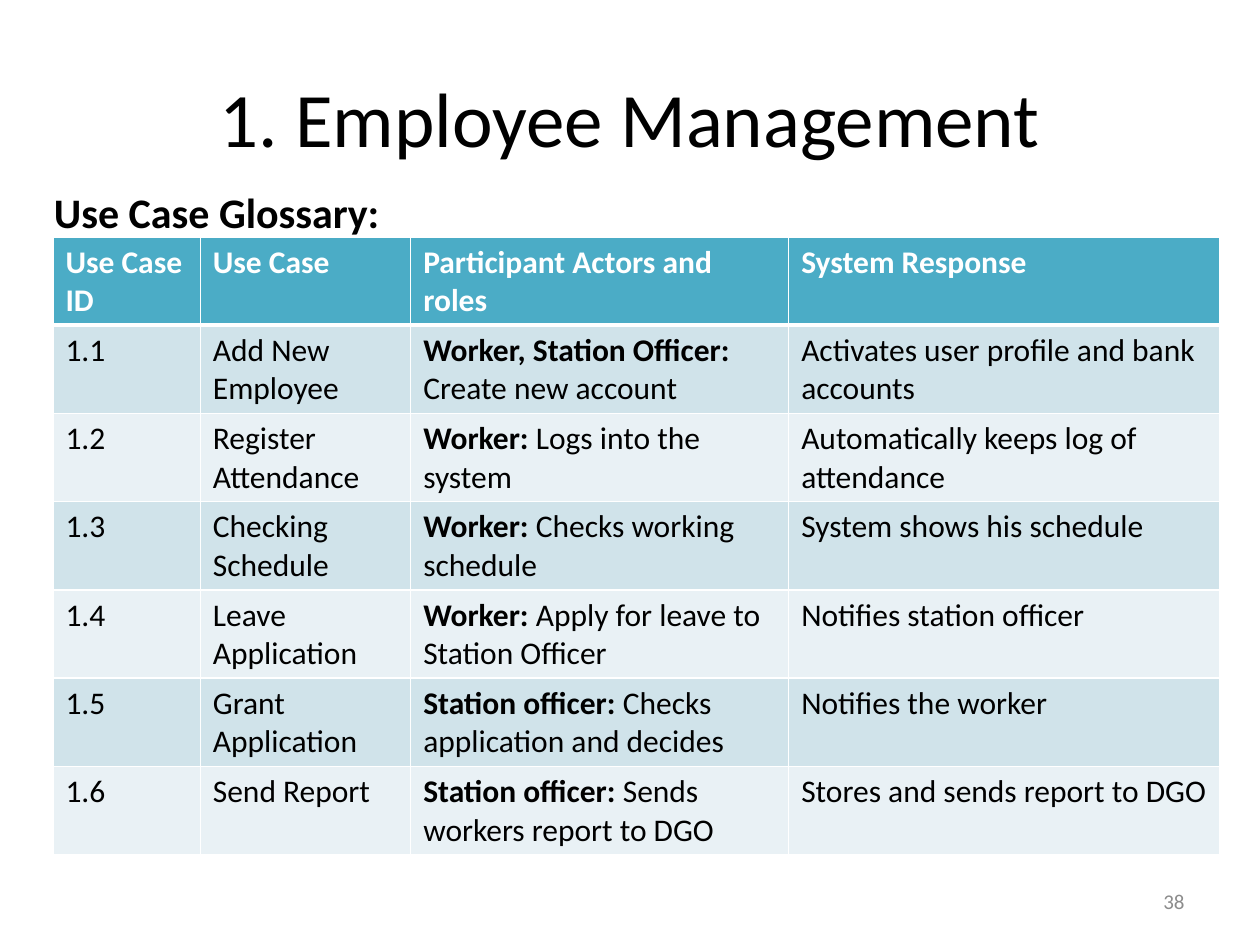
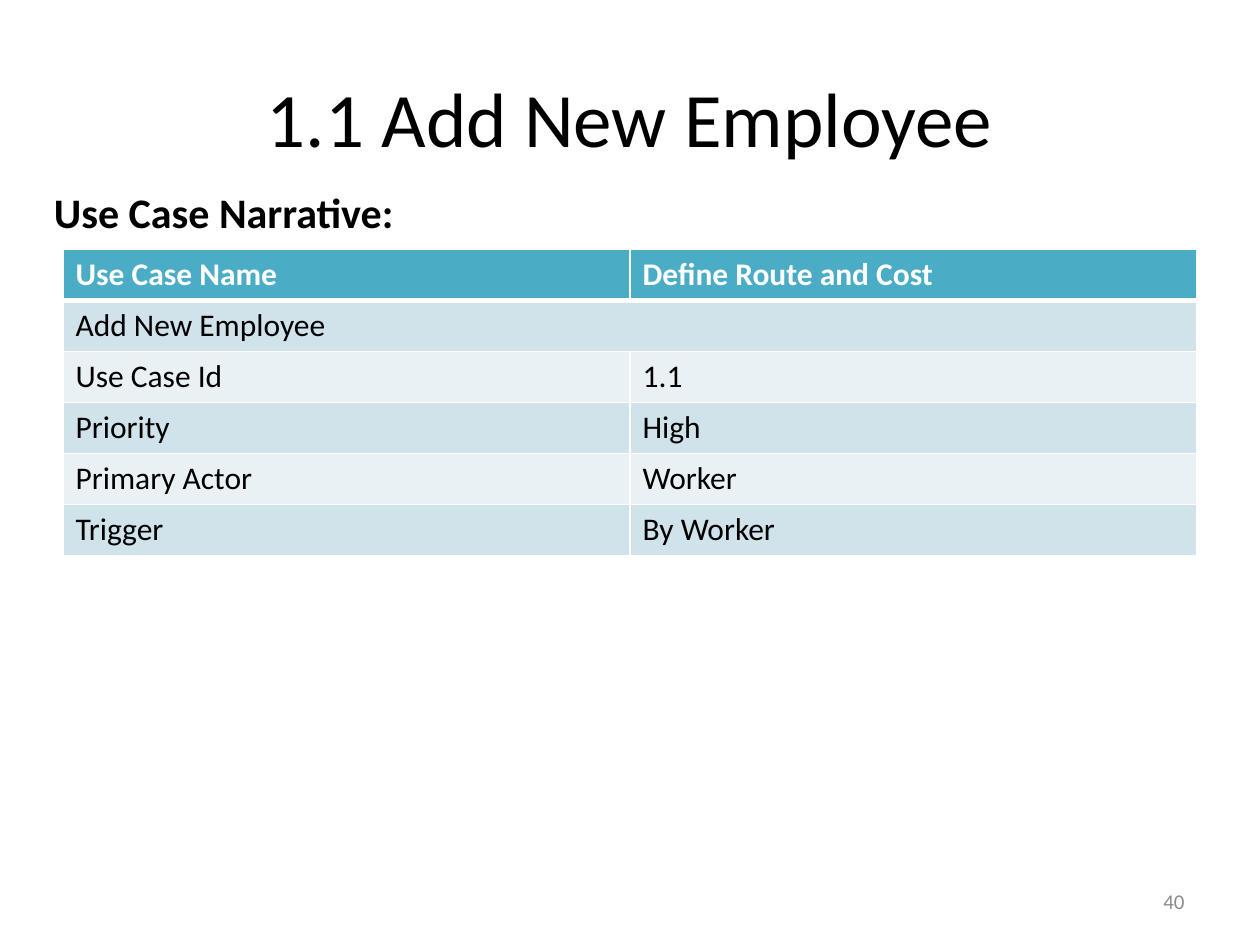
from dataclasses import dataclass

import lxml.etree
import pptx
import pptx.dml.color
import pptx.enum.text
import pptx.oxml
import pptx.oxml.ns
import pptx.util

Inches = pptx.util.Inches
Pt = pptx.util.Pt
Align = pptx.enum.text.PP_ALIGN
Anchor = pptx.enum.text.MSO_ANCHOR


@dataclass(frozen=True)
class Theme:
    face: str = "Calibri"
    ink: str = "000000"
    paper: str = "FFFFFF"
    grey: str = "8C8C8C"
    head: str = "4BACC6"
    bands: tuple = ("D0E3EA", "E9F1F5")
    title: int = 44
    label: int = 24
    cell: int = 18
    foot: int = 12
    thin: int = 1
    thick: int = 3


def rgb(color):
    return pptx.dml.color.RGBColor.from_string(color)


class Deck:
    def __init__(self, theme):
        self.theme = theme
        self.show = pptx.Presentation()
        self.show.slide_width = Inches(10)
        self.show.slide_height = Inches(7.5)
        self.slide = None

    def style(self, para, size, color, bold=False):
        font = para.font
        font.name = self.theme.face
        font.size = Pt(size)
        font.color.rgb = rgb(color)
        font.bold = bold

    def text(self, box, words, size, color, bold=False,
             align=Align.LEFT, anchor=Anchor.MIDDLE):
        frame = self.slide.shapes.add_textbox(*map(Inches, box)).text_frame
        frame.word_wrap = True
        frame.vertical_anchor = anchor
        para = frame.paragraphs[0]
        para.text = words
        para.alignment = align
        self.style(para, size, color, bold)

    def page(self, title, label, number):
        """Start a slide with its title, label and page number."""
        look = self.theme
        self.slide = self.show.slides.add_slide(self.show.slide_layouts[6])
        self.text((0.5, 0.3, 9, 1.25), title, look.title, look.ink,
                  align=Align.CENTER)
        self.text((0.33, 1.43, 5.25, 0.5), label, look.label, look.ink,
                  bold=True, anchor=Anchor.TOP)
        self.text((7.17, 6.95, 2.33, 0.4), str(number), look.foot, look.grey,
                  align=Align.RIGHT)

    def edge(self, cell, side, width):
        name = pptx.oxml.ns.qn
        line = lxml.etree.SubElement(cell._tc.get_or_add_tcPr(),
                                     name(f"a:ln{side}"), w=str(Pt(width)))
        fill = lxml.etree.SubElement(line, name("a:solidFill"))
        lxml.etree.SubElement(fill, name("a:srgbClr"), val=self.theme.paper)

    def cell(self, cell, words, row):
        look = self.theme
        head = row == 0
        # Borders come before the fill in the cell properties
        wide = {"T": row == 1, "B": head}
        for side in "LRTB":
            self.edge(cell, side, look.thick if wide.get(side) else look.thin)
        cell.fill.solid()
        cell.fill.fore_color.rgb = rgb(
            look.head if head else look.bands[(row - 1) % 2])
        para = cell.text_frame.paragraphs[0]
        if isinstance(words, tuple):
            for part, bold in zip(words, (True, False)):
                run = para.add_run()
                run.text = part
                run.font.bold = bold
        else:
            para.text = words
        self.style(para, look.cell, look.paper if head else look.ink, head)

    def table(self, box, widths, rows):
        """Fill a banded table; a short row spans the full width."""
        grid = self.slide.shapes.add_table(
            len(rows), len(widths), *map(Inches, box)).table
        for column, width in zip(grid.columns, widths):
            column.width = Inches(width)
        last = len(widths) - 1
        for r, row in enumerate(rows):
            if len(row) <= last:
                grid.cell(r, len(row) - 1).merge(grid.cell(r, last))
            for c, words in enumerate(row):
                self.cell(grid.cell(r, c), words, r)


GLOSSARY = [
    ("Use Case ID", "Use Case", "Participant Actors and roles",
     "System Response"),
    ("1.1", "Add New Employee",
     ("Worker, Station Officer:", " Create new account"),
     "Activates user profile and bank accounts"),
    ("1.2", "Register Attendance", ("Worker: ", "Logs into the system"),
     "Automatically keeps log of attendance"),
    ("1.3", "Checking\vSchedule", ("Worker:", " Checks working schedule"),
     "System shows his schedule"),
    ("1.4", "Leave Application",
     ("Worker:", " Apply for leave to Station Officer"),
     "Notifies station officer"),
    ("1.5", "Grant Application",
     ("Station officer: ", "Checks application and decides"),
     "Notifies the worker"),
    ("1.6", "Send Report",
     ("Station officer: ", "Sends workers report to DGO"),
     "Stores and sends report to DGO"),
]

STORY = [
    ("Use Case Name", "Define Route and Cost"),
    ("Add New Employee",),
    ("Use Case Id", "1.1"),
    ("Priority", "High"),
    ("Primary Actor", "Worker"),
    ("Trigger", "By Worker"),
]


def main():
    deck = Deck(Theme())

    # Glossary of use cases
    deck.page("1. Employee Management", "Use Case Glossary:", 38)
    deck.table((0.42, 1.88, 9.25, 4.9), (1.17, 1.67, 3, 3.42), GLOSSARY)

    # Narrative of one use case
    deck.page("1.1 Add New Employee", "Use Case Narrative:", 40)
    deck.table((0.5, 1.98, 9, 2.43), (4.5, 4.5), STORY)

    deck.show.save("out.pptx")


if __name__ == "__main__":
    main()
